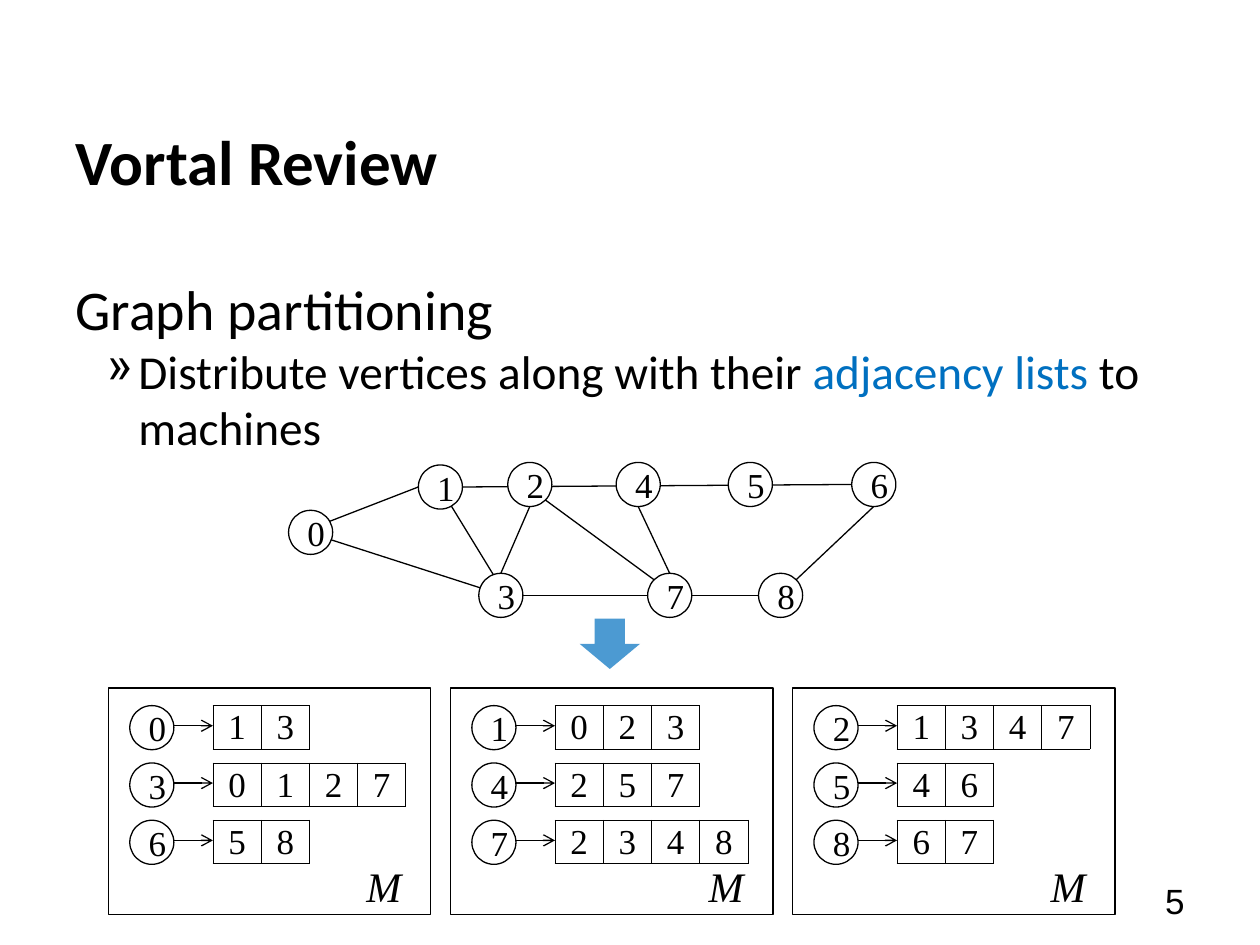
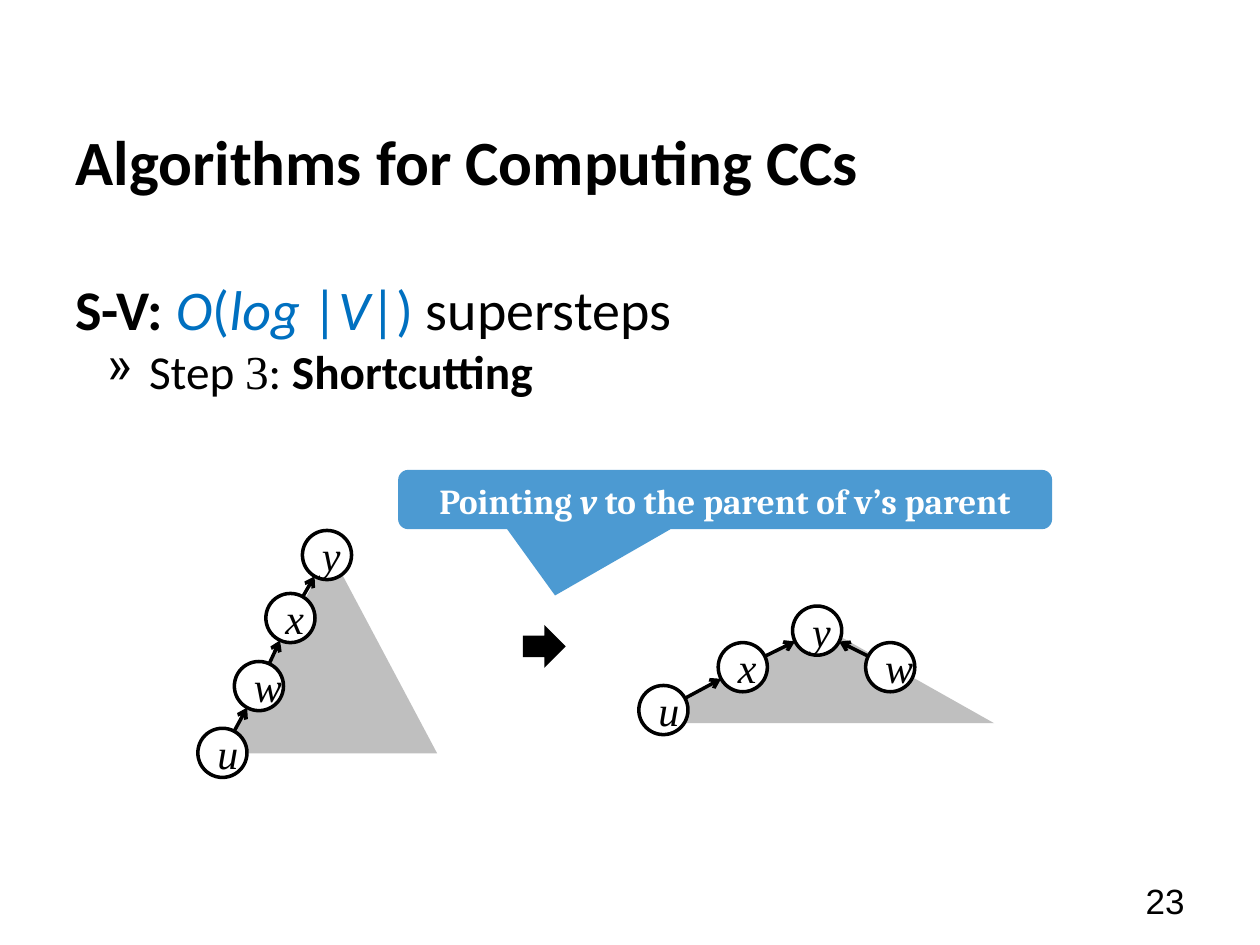
import dataclasses
import math

import lxml.etree
import pptx
import pptx.dml.color
import pptx.enum.shapes
import pptx.enum.text
import pptx.oxml
import pptx.oxml.ns
import pptx.util

SHAPE = pptx.enum.shapes.MSO_SHAPE
ALIGN = pptx.enum.text.PP_ALIGN
ANCHOR = pptx.enum.text.MSO_ANCHOR
COLUMNS, ROWS = 100, 75
UNIT = pptx.util.Inches(0.1)


@dataclasses.dataclass(frozen=True)
class Theme:
    """Colours, fonts, type sizes and line widths of the deck."""

    ink: str = "000000"
    paper: str = "FFFFFF"
    accent: str = "0070C0"
    shade: str = "BFBFBF"
    heading: str = "Calibri"
    math: str = "Times New Roman"
    callout: str = "Cambria"
    footer: str = "Arial"
    title_size: int = 36
    lead_size: int = 32
    point_size: int = 27
    symbol_size: int = 24
    label_size: int = 20
    thin: float = 0.75
    thick: float = 2
    hairline: float = 0.5


THEME = Theme()


@dataclasses.dataclass(frozen=True)
class Box:
    """An area measured in grid columns and rows."""

    left: float
    top: float
    width: float
    height: float

    def inner(self, left, top, width, height):
        """Return an area placed relative to this one."""
        return Box(self.left + left, self.top + top, width, height)

    def emu(self):
        """Return left, top, width and height as slide lengths."""
        return [round(v * UNIT) for v in (self.left, self.top, self.width, self.height)]

    def rim(self, degrees):
        """Return the point at a clockwise angle on the inscribed ellipse."""
        angle = math.radians(degrees)
        return (self.left + self.width / 2 * (1 + math.cos(angle)),
                self.top + self.height / 2 * (1 + math.sin(angle)))

    def angle_to(self, other):
        """Return the clockwise angle towards the centre of another area."""
        across = other.left + other.width / 2 - self.left - self.width / 2
        down = other.top + other.height / 2 - self.top - self.height / 2
        return math.degrees(math.atan2(down, across))


SLIDE = Box(0, 0, COLUMNS, ROWS)


def rgb(colour):
    """Turn a hex string into a colour."""
    return pptx.dml.color.RGBColor.from_string(colour)


def sub(parent, tag, **attributes):
    """Append a drawing element to a parent element."""
    return lxml.etree.SubElement(parent, pptx.oxml.ns.qn(tag), attributes)


def write(frame, runs, align=ALIGN.LEFT, anchor=None, wrap=True, bullet=None, more=False, **base):
    """Write one paragraph of runs, each a string or a (string, format) pair."""
    frame.word_wrap = wrap
    if anchor is not None:
        frame.vertical_anchor = anchor
    paragraph = frame.add_paragraph() if more else frame.paragraphs[0]
    paragraph.alignment = align
    paragraph.space_before = pptx.util.Pt(0)
    if bullet:
        paragraph.level = 1
        properties = paragraph._p.get_or_add_pPr()
        properties.set("marL", str(5 * UNIT))
        properties.set("indent", str(round(-2.5 * UNIT)))
        sub(properties, "a:buChar", char=bullet)
    for item in [runs] if isinstance(runs, str) else runs:
        text, changes = (item, {}) if isinstance(item, str) else item
        look = {"font": THEME.heading, "colour": THEME.ink, **base, **changes}
        run = paragraph.add_run()
        run.text = text
        run.font.name = look["font"]
        run.font.size = pptx.util.Pt(look["size"])
        run.font.color.rgb = rgb(look["colour"])
        run.font.bold = look.get("bold", False)
        run.font.italic = look.get("italic", False)
        if "baseline" in look:
            run._r.get_or_add_rPr().set("baseline", str(look["baseline"] * 1000))


def add_text(slide, box, runs, **style):
    """Place a text box and return its frame."""
    frame = slide.shapes.add_textbox(*box.emu()).text_frame
    write(frame, runs, **style)
    return frame


def add_figure(slide, kind, box, fill=None, line=None, alpha=None):
    """Place a preset shape with plain fill and outline."""
    figure = slide.shapes.add_shape(kind, *box.emu())
    figure.shadow.inherit = False
    if fill:
        figure.fill.solid()
        figure.fill.fore_color.rgb = rgb(fill)
        if alpha:
            colour = figure.fill._xPr.find(".//" + pptx.oxml.ns.qn("a:srgbClr"))
            sub(colour, "a:alpha", val=str(alpha * 1000))
    else:
        figure.fill.background()
    if line:
        figure.line.color.rgb = rgb(THEME.ink)
        figure.line.width = pptx.util.Pt(line)
    else:
        figure.line.fill.background()
    return figure


def add_vertex(slide, box, label, line=THEME.thin, **style):
    """Place a labelled graph vertex."""
    vertex = add_figure(slide, SHAPE.OVAL, box, THEME.paper, line)
    write(vertex.text_frame, label, align=ALIGN.CENTER, anchor=ANCHOR.MIDDLE,
          **{"font": THEME.math, "size": THEME.label_size, **style})


def add_edge(slide, start, end, line=THEME.thin, arrow=False):
    """Draw a straight line between two grid points."""
    ends = [round(v * UNIT) for v in (*start, *end)]
    edge = slide.shapes.add_connector(pptx.enum.shapes.MSO_CONNECTOR.STRAIGHT, *ends)
    edge.line.color.rgb = rgb(THEME.ink)
    edge.line.width = pptx.util.Pt(line)
    if arrow:
        sub(edge.line._get_or_add_ln(), "a:tailEnd", type="arrow")
    sub(edge._element.spPr, "a:effectLst")


def add_adjacency(slide, box, neighbours):
    """Place the one-row table of a vertex's neighbours."""
    table = slide.shapes.add_table(1, len(neighbours), *box.emu()).table
    table.first_row = table.horz_banding = False
    table.rows[0].height = box.emu()[3]
    for column, cell, neighbour in zip(table.columns, table.iter_cells(), neighbours):
        column.width = round(box.width / len(neighbours) * UNIT)
        cell.margin_left = cell.margin_right = cell.margin_top = pptx.util.Inches(0.01)
        cell.margin_bottom = 0
        cell.vertical_anchor = ANCHOR.MIDDLE
        properties = cell._tc.get_or_add_tcPr()
        for side in ("a:lnL", "a:lnR", "a:lnT", "a:lnB"):
            border = sub(properties, side, w=str(pptx.util.Pt(THEME.hairline)))
            sub(sub(border, "a:solidFill"), "a:srgbClr", val=THEME.ink)
        cell.fill.background()
        write(cell.text_frame, neighbour, align=ALIGN.CENTER,
              font=THEME.math, size=THEME.label_size)


def draw_graph(slide, box):
    """Draw the input graph."""
    upper, lower = 0, 8.8
    spots = [(0, 3.8), (10.3, 0.2), (17.4, upper), (15.1, lower), (26, upper),
             (34.9, upper), (44.7, upper), (28.5, lower), (37.3, lower)]
    vertices = [box.inner(*spot, 3.5, 3.5) for spot in spots]
    edges = [(1, 60, 3, 250), (0, 330, 1, 180), (0, 20, 3, 200), (3, 0, 8, 180), (1, 0, 6, 180),
             (3, 270, 2, 90), (7, 270, 4, 90), (7, 225, 2, 45), (8, 315, 6, 90)]
    for start, leaving, end, arriving in edges:
        add_edge(slide, vertices[start].rim(leaving), vertices[end].rim(arriving))
    for number, vertex in enumerate(vertices):
        add_vertex(slide, vertex, str(number))


def draw_machine(slide, box, index, lists):
    """Draw one machine with its vertices and adjacency lists."""
    add_figure(slide, SHAPE.RECTANGLE, box, line=THEME.thin)
    for row, (vertex, neighbours) in enumerate(lists):
        top = 1.4 + 4.55 * row
        circle = box.inner(1.7, top, 3.5, 3.5)
        cells = box.inner(8.3, top, 3.83 * len(neighbours), 3.2)
        middle = cells.top + cells.height / 2
        add_vertex(slide, circle, vertex)
        add_adjacency(slide, cells, neighbours)
        add_edge(slide, (circle.left + circle.width, middle), (cells.left, middle), arrow=True)
    add_text(slide, box.inner(19.5, 13.2, 5, 4),
             [("M", {"italic": True}), (str(index), {"baseline": -25})],
             wrap=False, font=THEME.math, size=THEME.symbol_size)


def draw_tree(slide, box, triangle, spots, links):
    """Draw a shaded tree whose vertices point to their parents."""
    add_figure(slide, SHAPE.ISOSCELES_TRIANGLE, box.inner(*triangle), THEME.shade)
    vertices = {name: box.inner(*spot, 3.9, 3.9) for name, spot in spots.items()}
    for name, vertex in vertices.items():
        add_vertex(slide, vertex, name, THEME.thick, size=THEME.symbol_size, italic=True)
    for child, parent in links:
        start, end = vertices[child], vertices[parent]
        add_edge(slide, start.rim(start.angle_to(end)), end.rim(end.angle_to(start)),
                 THEME.thick, arrow=True)


def start_slide(deck, title, number, lead, point):
    """Add a slide with its title, body text and page number."""
    slide = deck.slides.add_slide(deck.slide_layouts[5])
    heading = slide.shapes.title
    heading.left, heading.top, heading.width, heading.height = SLIDE.inner(5, 6.5, 90, 12.5).emu()
    write(heading.text_frame, title, anchor=ANCHOR.MIDDLE, size=THEME.title_size, bold=True)
    body = add_text(slide, SLIDE.inner(5, 21.3, 90, 46.2), lead, size=THEME.lead_size)
    write(body, point, more=True, bullet="»", size=THEME.point_size)
    add_text(slide, SLIDE.inner(71.7, 69.5, 23.3, 4), number, align=ALIGN.RIGHT,
             anchor=ANCHOR.MIDDLE, font=THEME.footer, size=THEME.label_size)
    return slide


def partitioning_slide(deck):
    """Build the slide on distributing a graph over machines."""
    slide = start_slide(
        deck, "Vortal Review", "5", "Graph partitioning",
        ["Distribute vertices along with their ",
         ("adjacency lists ", {"colour": THEME.accent}), "to machines"])
    draw_graph(slide, SLIDE.inner(22.9, 36.7, 48.2, 12.3))
    machines = [[("0", "13"), ("3", "0127"), ("6", "58")],
                [("1", "023"), ("4", "257"), ("7", "2348")],
                [("2", "1347"), ("5", "46"), ("8", "67")]]
    for index, lists in enumerate(machines):
        draw_machine(slide, SLIDE.inner(8.6 + 27.15 * index, 54.6, 25.6, 18), index, lists)
    add_figure(slide, SHAPE.DOWN_ARROW, SLIDE.inner(46, 49.1, 4.8, 4), THEME.accent, alpha=70)


def shortcutting_slide(deck):
    """Build the slide on the shortcutting step."""
    blue = {"colour": THEME.accent}
    slanted = {**blue, "italic": True}
    slide = start_slide(
        deck, "Algorithms for Computing CCs", "23",
        [("S-V: ", {"bold": True}), ("O", slanted), ("(", blue), ("log ", slanted),
         ("|", blue), ("V", slanted), ("|) ", blue), "supersteps"],
        [" Step ", ("3", {"font": THEME.math}), ": ", ("Shortcutting", {"bold": True})])
    add_figure(slide, SHAPE.RIGHT_ARROW, SLIDE.inner(41.5, 49.6, 3.4, 3.4), THEME.ink)
    draw_tree(slide, SLIDE.inner(15.7, 42.1, 19, 19.6), (2, 1.7, 17, 16),
              {"y": (8.3, 0), "x": (5.4, 5), "w": (2.9, 10.4), "u": (0, 15.7)},
              ["uw", "wx", "xy"])
    draw_tree(slide, SLIDE.inner(50.7, 48.1, 28.2, 10.2), (0.5, 1.5, 27.7, 7.8),
              {"y": (12.2, 0), "x": (6.3, 2.9), "w": (18, 2.9), "u": (0, 6.3)},
              ["xy", "wy", "ux"])
    callout = add_figure(slide, SHAPE.ROUNDED_RECTANGULAR_CALLOUT,
                         SLIDE.inner(31.6, 37.3, 51.9, 4.7), THEME.accent, alpha=70)
    for position, value in enumerate((-0.26, 1.62, 0.17)):
        callout.adjustments[position] = value
    write(callout.text_frame,
          ["Pointing ", ("v", {"italic": True}), " to the parent of v’s parent"],
          align=ALIGN.CENTER, anchor=ANCHOR.TOP, font=THEME.callout,
          size=THEME.label_size, colour=THEME.paper, bold=True)


def main():
    """Build and save the deck."""
    deck = pptx.Presentation()
    deck.slide_width, deck.slide_height = COLUMNS * UNIT, ROWS * UNIT
    partitioning_slide(deck)
    shortcutting_slide(deck)
    deck.save("out.pptx")


if __name__ == "__main__":
    main()
